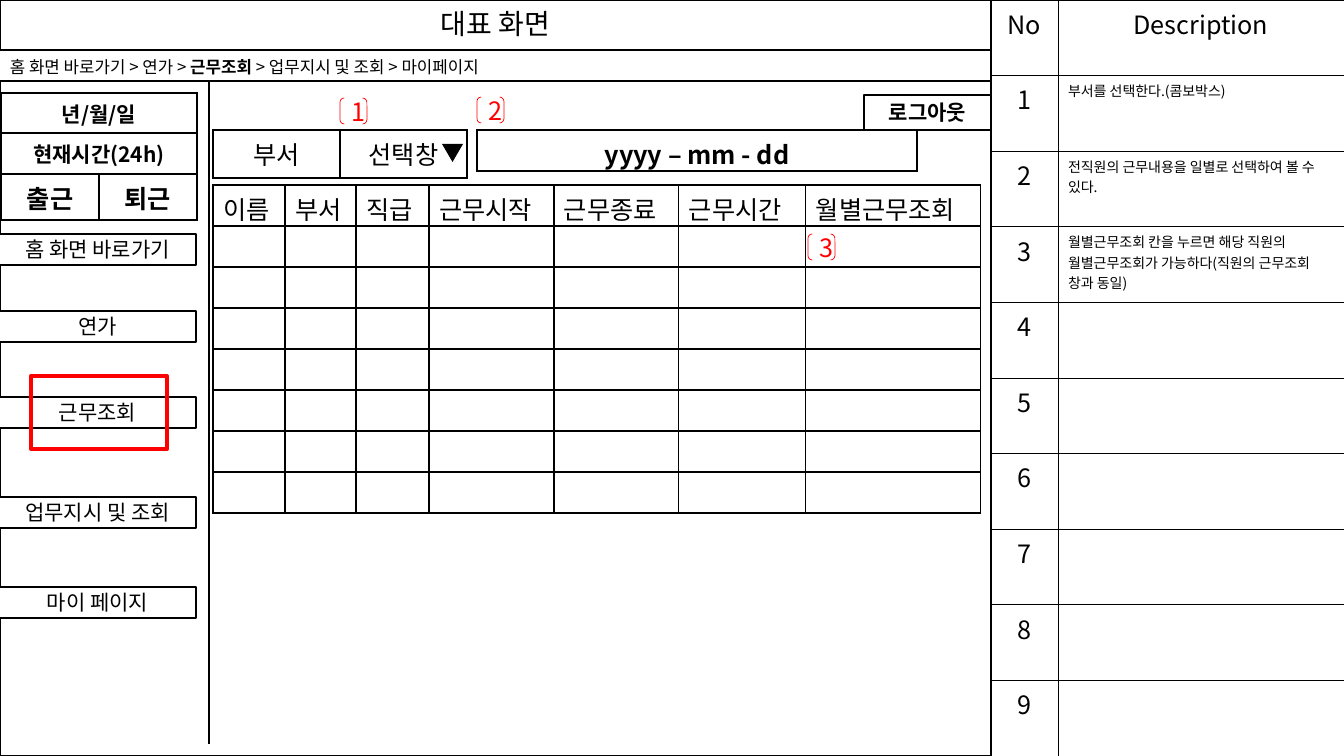
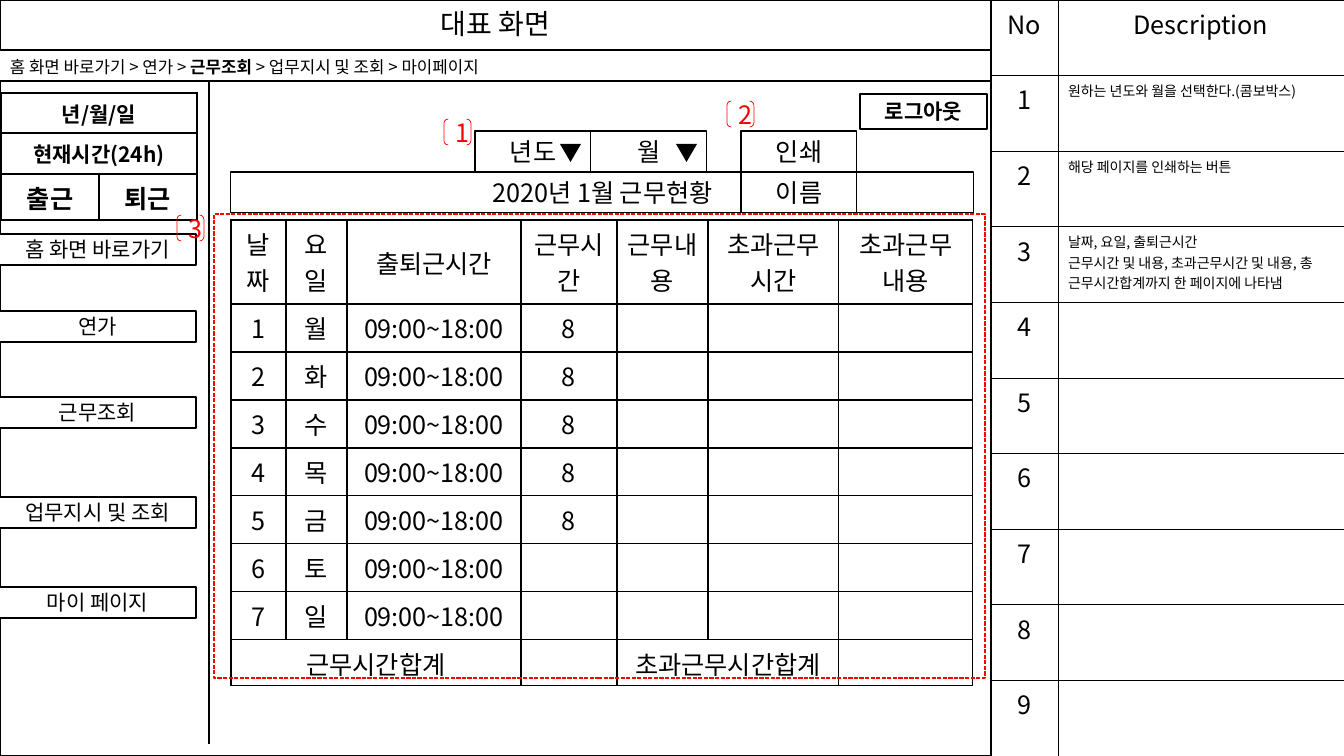
"""Build two wireframe slides of an attendance system."""
from lxml import etree
from pptx import Presentation
from pptx.dml.color import RGBColor
from pptx.enum import dml, shapes, text
from pptx.oxml import ns
from pptx.util import Emu, Pt

BLACK = RGBColor(0, 0, 0)
WHITE = RGBColor(255, 255, 255)
RED = RGBColor(255, 0, 0)
FONT = "Noto Sans CJK KR"
SCALE = 914400 / 100.8
WIDE, HIGH = 1344, 756
MAIN, HEAD, PATH_H = 991, 50, 31
LEFT, MID = text.PP_ALIGN.LEFT, text.PP_ALIGN.CENTER
KIND = shapes.MSO_SHAPE
MENU = [("홈 화면 바로가기", 0), ("연가", 77), ("근무조회", 163),
        ("업무지시 및 조회", 263), ("마이 페이지", 353)]


def px(*sizes):
    """Turn pixels into EMU."""
    return [Emu(round(n * SCALE)) for n in sizes]


def add_run(para, words, size, bold=False, color=BLACK):
    """Append one styled run."""
    run = para.add_run()
    run.text = words
    font = run.font
    font.size, font.bold, font.name = Pt(size), bold, FONT
    font.color.rgb = color
    etree.SubElement(run._r.get_or_add_rPr(), ns.qn("a:ea"), typeface=FONT)


def write(frame, words, size, bold=False, color=BLACK, align=MID):
    """Fill a text frame, one paragraph a line."""
    for i, line in enumerate(words.split("\n")):
        para = frame.add_paragraph() if i else frame.paragraphs[0]
        para.alignment = align
        add_run(para, line, size, bold, color)


def box(slide, area, words="", size=18, bold=False, fill=None, line=BLACK,
        width=0.75, kind=KIND.RECTANGLE, color=BLACK):
    """Draw a preset shape with optional text."""
    shape = slide.shapes.add_shape(kind, *px(*area))
    shape.shadow.inherit = False
    if fill is None:
        shape.fill.background()
    else:
        shape.fill.solid()
        shape.fill.fore_color.rgb = fill
    if line is None:
        shape.line.fill.background()
    else:
        shape.line.color.rgb = line
        shape.line.width = Pt(width)
    if words:
        frame = shape.text_frame
        frame.word_wrap = True
        frame.vertical_anchor = text.MSO_ANCHOR.MIDDLE
        write(frame, words, size, bold, color)
    return shape


def edge(cell, width):
    """Give a cell four black borders."""
    props = cell._tc.get_or_add_tcPr()
    for i, side in enumerate(("lnL", "lnR", "lnT", "lnB")):
        line = etree.Element(ns.qn("a:" + side), w=str(int(Pt(width))))
        fill = etree.SubElement(line, ns.qn("a:solidFill"))
        etree.SubElement(fill, ns.qn("a:srgbClr"), val=str(BLACK))
        props.insert(i, line)


def grid(slide, x, y, cols, rows, cells, style, spans=(), width=1, foot=5):
    """Add a table; style gives size, bold and alignment of a cell."""
    area = px(x, y, sum(cols), sum(rows))
    table = slide.shapes.add_table(len(rows), len(cols), *area).table
    table.first_row = table.horz_banding = False
    for col, size in zip(table.columns, cols):
        col.width = px(size)[0]
    for row, size in zip(table.rows, rows):
        row.height = px(size)[0]
    for top, left, low, right in spans:
        table.cell(top, left).merge(table.cell(low, right))
    for r in range(len(rows)):
        for c in range(len(cols)):
            cell = table.cell(r, c)
            cell.fill.background()
            cell.margin_bottom = px(foot)[0]
            edge(cell, width)
            words = cells[r][c] if r < len(cells) and c < len(cells[r]) else ""
            if words:
                size, bold, align = style(r, c)
                write(cell.text_frame, words, size, bold, align=align)
    return table


def plain(r, c):
    """Style centred cells."""
    return 18, False, MID


def mark(slide, x, y, words):
    """Draw a red callout number in brackets."""
    box(slide, (x, y, 27, 26), words, line=RED, width=0.5,
        kind=KIND.DOUBLE_BRACKET, color=RED)


def arrow(slide, x, y):
    """Draw the arrow of a drop-down."""
    shape = box(slide, (x, y, 21, 18), fill=BLACK, line=None,
                kind=KIND.ISOSCELES_TRIANGLE)
    shape.rotation = 180


def logout(slide, x, y):
    """Draw the logout button."""
    box(slide, (x, y, 127, 35), "로그아웃", 15, True, WHITE, width=1)


def banner(slide, x, y):
    """Place the title and the page trail."""
    title = slide.shapes.title
    title.left, title.top, title.width, title.height = px(x, y, MAIN, HEAD)
    title.line.color.rgb = BLACK
    title.line.width = Pt(0.75)
    frame = title.text_frame
    frame.auto_size = text.MSO_AUTO_SIZE.NONE
    frame.vertical_anchor = text.MSO_ANCHOR.MIDDLE
    write(frame, "대표 화면", 20)
    frame.paragraphs[0].line_spacing = 0.9
    box(slide, (x, y + HEAD, MAIN, PATH_H))
    trail = slide.shapes.add_textbox(*px(x, y + HEAD + 2, 619, 30)).text_frame
    trail.word_wrap = True
    for words, bold in (("홈 화면 바로가기 > 연가 > ", False),
                        ("근무조회 ", True),
                        ("> 업무지시 및 조회 > 마이페이지", False)):
        add_run(trail.paragraphs[0], words, 12, bold)


def sidebar(slide, x, y):
    """Place the clock, the menu and the divider."""
    grid(slide, x + 1, y + 12, [98, 98], [40, 41, 46],
         [["년/월/일"], ["현재시간(24h)"], ["출근", "퇴근"]],
         lambda r, c: (18 if r == 2 else 15, True, MID),
         [(0, 0, 0, 1), (1, 0, 1, 1)])
    for words, drop in MENU:
        box(slide, (x - 1, y + 153 + drop, 197, 31), words, 15,
            fill=WHITE, width=1)
    line = slide.shapes.add_connector(
        shapes.MSO_CONNECTOR.STRAIGHT, *px(x + 209, y, x + 209, y + 663))
    line.line.color.rgb = BLACK
    line.line.width = Pt(1.5)
    etree.SubElement(line._element.spPr, ns.qn("a:effectLst"))


def legend(slide, x, y, notes):
    """Place the numbered description table."""
    cells = [["No", "Description"]]
    cells += [[str(n + 1), notes[n] if n < len(notes) else ""]
              for n in range(9)]
    grid(slide, x, y, [67, WIDE - MAIN - 67], [HIGH / 10] * 10, cells,
         lambda r, c: (10, False, LEFT) if r and c else plain(r, c), width=0.5)


def roster(slide, x, y):
    """Place the filters and the staff table."""
    grid(slide, x, y + 49, [127, 127], [48], [["부서", "선택창"]], plain)
    arrow(slide, x + 229, y + 63)
    grid(slide, x, y + 104, [72, 71, 73, 125, 125, 127, 175], [41] * 8,
         [["이름", "부서", "직급", "근무시작", "근무종료", "근무시간",
           "월별근무조회"]], lambda r, c: (18, False, LEFT), foot=0)
    grid(slide, x + 264, y + 49, [440], [41], [["yyyy – mm - dd"]],
         lambda r, c: (18, True, MID), foot=0)
    for words, left, top in (("1", 127, 17), ("2", 264, 16), ("3", 595, 153)):
        mark(slide, x + left, y + top, words)
    logout(slide, x + 651, y + 14)


def month(slide, x, y):
    """Place the month filters and the time sheet."""
    cells = [["날짜", "요일", "출퇴근시간", "근무시간", "근무내용",
              "초과근무시간", "초과근무내용"]]
    cells += [[str(n), day, "09:00~18:00", "8" if n < 6 else ""]
              for n, day in enumerate("월화수목금토일", 1)]
    cells.append(["근무시간합계", "", "", "", "초과근무시간합계"])
    table = grid(slide, x + 18, y + 139, [55, 61, 174, 96, 91, 131, 134],
                 [84] + [48] * 7 + [46], cells, plain,
                 [(8, 0, 8, 2), (8, 4, 8, 5)])
    table.cell(0, 2).vertical_anchor = text.MSO_ANCHOR.MIDDLE
    box(slide, (x + 18, y + 91, 743, 41), "2020년 1월 근무현황")
    for words, left, top in (("년도", 262, 50), ("월", 378, 50),
                             ("인쇄", 528, 50), ("이름", 528, 91)):
        box(slide, (x + left, y + top, 116, 41), words)
    for left in (347, 463):
        arrow(slide, x + left, y + 63)
    dash = box(slide, (x + 1, y + 133, 771, 464), line=RED, width=1)
    dash.line.dash_style = dml.MSO_LINE.SQUARE_DOT
    for words, left, top in (("1", 231, 38), ("2", 514, 20), ("3", -36, 134)):
        mark(slide, x + left, y + top, words)
    logout(slide, x + 647, y + 13)


def page(deck, notes):
    """Add a slide with all shared parts."""
    slide = deck.slides.add_slide(deck.slide_layouts[5])
    top = HEAD + PATH_H
    box(slide, (0, top, MAIN, HIGH - top), fill=WHITE, width=1)
    banner(slide, 0, 0)
    legend(slide, MAIN, 0, notes)
    sidebar(slide, 0, top)
    return slide


def main():
    """Build and save the deck."""
    deck = Presentation()
    deck.slide_width, deck.slide_height = px(WIDE, HIGH)
    slide = page(deck, [
        "부서를 선택한다.(콤보박스)",
        "전직원의 근무내용을 일별로 선택하여 볼 수 있다.",
        "월별근무조회 칸을 누르면 해당 직원의 월별근무조회가 가능하다"
        "(직원의 근무조회 창과 동일)"])
    roster(slide, 213, 81)
    box(slide, (31, 376, 136, 73), line=RED, width=3)
    slide = page(deck, [
        "원하는 년도와 월을 선택한다.(콤보박스)",
        "해당 페이지를 인쇄하는 버튼",
        "날짜, 요일, 출퇴근시간\n근무시간 및 내용, 초과근무시간 및 내용, "
        "총 근무시간합계까지 한 페이지에 나타냄"])
    month(slide, 213, 81)
    deck.save("out.pptx")


if __name__ == "__main__":
    main()
